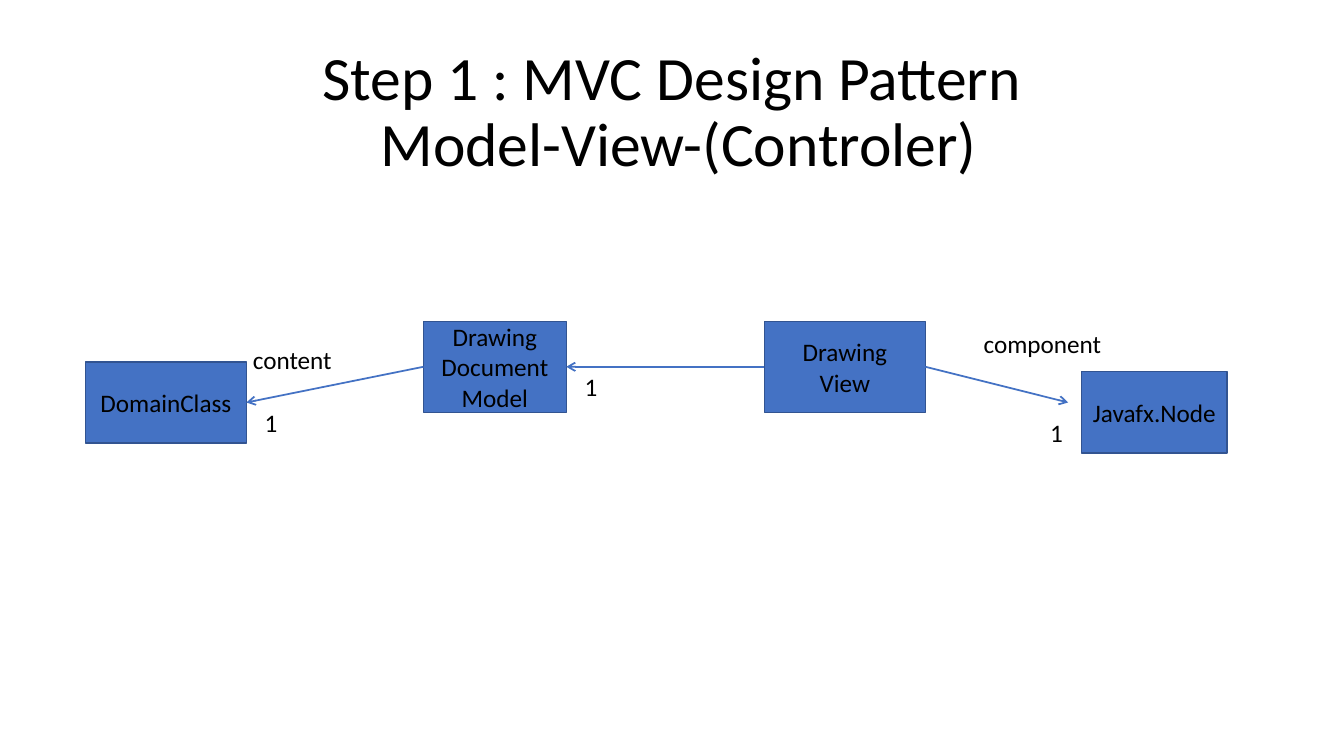
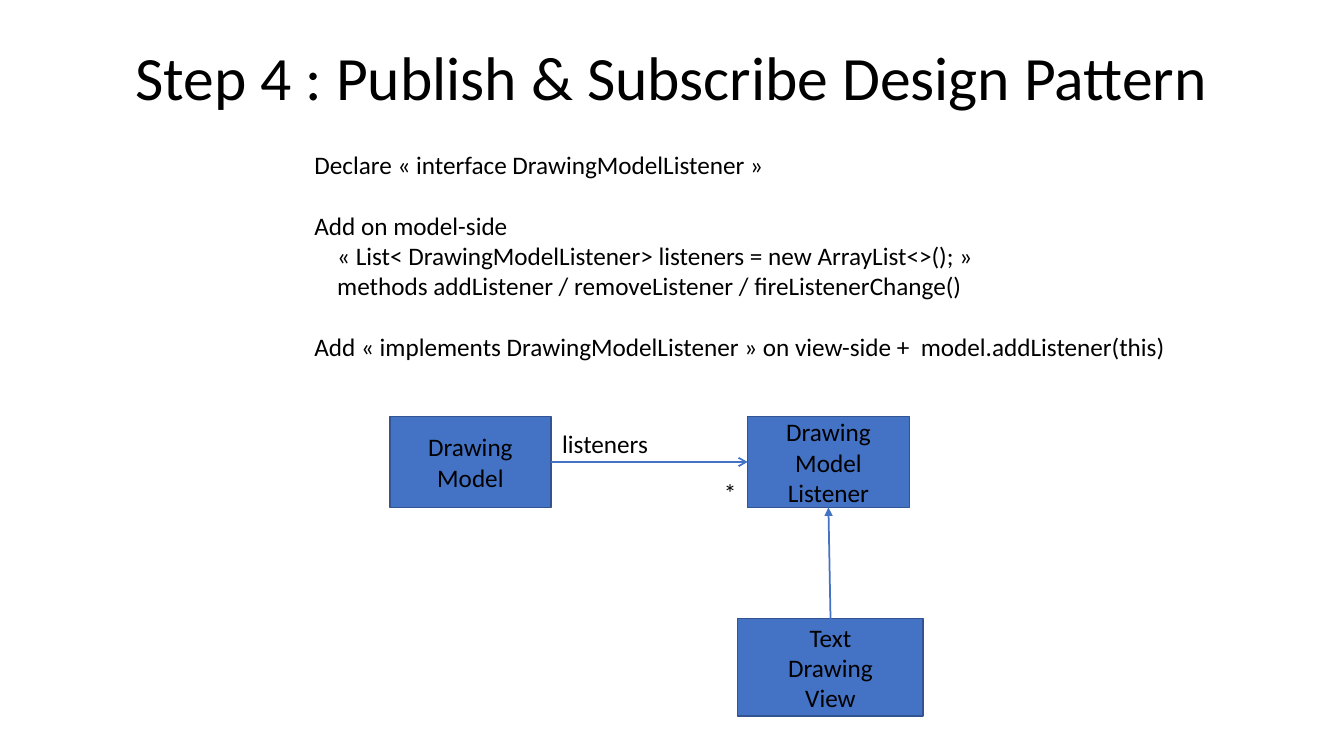
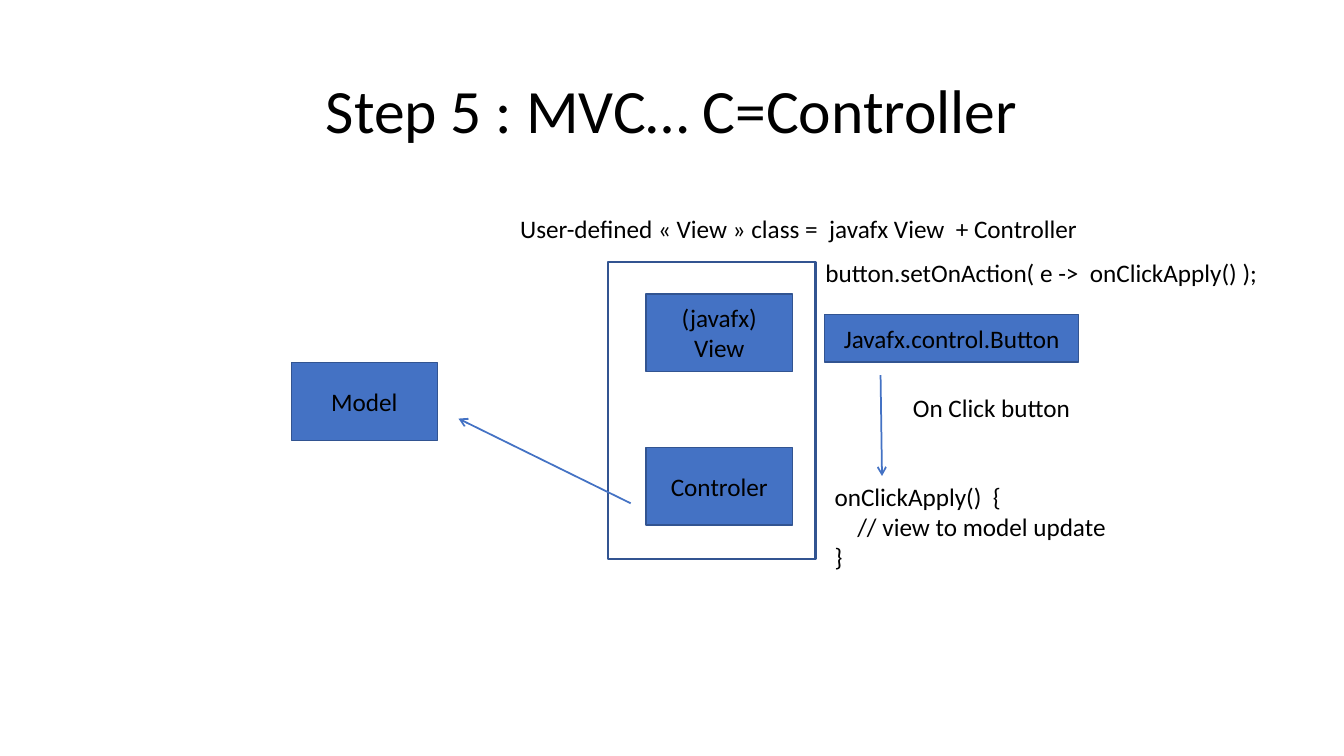
from pptx import Presentation
from pptx.dml.color import RGBColor
from pptx.enum.shapes import MSO_CONNECTOR, MSO_SHAPE
from pptx.enum.text import MSO_ANCHOR, MSO_AUTO_SIZE, PP_ALIGN
from pptx.oxml.ns import qn
from pptx.util import Pt
from lxml.etree import SubElement

FONT = "Calibri"
BLACK, BLUE, EDGE = "000000", "4472C4", "325491"
LINE = 22  # height of one text line at 18 points


def paint(target, color):
    """Give a fill, or the fill of a line, one solid colour."""
    target.solid()
    target.fore_color.rgb = RGBColor.from_string(color)


def write(frame, lines, size=18, align=PP_ALIGN.LEFT, anchor=MSO_ANCHOR.TOP,
          wrap=True, leading=None, gaps=(), dents=()):
    """Fill a frame, one paragraph a line; gaps and dents list line numbers."""
    frame.word_wrap = wrap
    frame.vertical_anchor = anchor
    for n, line in enumerate(lines):
        para = frame.paragraphs[0] if n == 0 else frame.add_paragraph()
        para.text = line
        para.alignment = align
        if leading:
            para.line_spacing = leading
        if n in gaps:
            para.space_before = Pt(LINE)
        if n in dents:
            props = para._p.get_or_add_pPr()
            props.set("marL", str(Pt(16.3)))
            props.set("indent", "0")
        for run in para.runs:
            run.font.name = FONT
            run.font.size = Pt(size)
            paint(run.font.fill, BLACK)


def label(slide, x, y, w, *lines, h=29, wrap=False, **style):
    box = slide.shapes.add_textbox(Pt(x), Pt(y), Pt(w), Pt(h))
    write(box.text_frame, lines, wrap=wrap, **style)
    box.text_frame.auto_size = MSO_AUTO_SIZE.SHAPE_TO_FIT_TEXT


def title(slide, text, y=29):
    box = slide.shapes.add_textbox(Pt(66), Pt(y), Pt(828), Pt(104.4))
    write(box.text_frame, [text], size=44, align=PP_ALIGN.CENTER,
          anchor=MSO_ANCHOR.MIDDLE, leading=0.9)


def block(slide, x, y, w, h, *lines, fill=BLUE, edge=1):
    box = slide.shapes.add_shape(MSO_SHAPE.RECTANGLE,
                                 Pt(x), Pt(y), Pt(w), Pt(h))
    box.shadow.inherit = False
    if fill:
        paint(box.fill, fill)
    else:
        box.fill.background()
    paint(box.line.fill, EDGE)
    box.line.width = Pt(edge)
    write(box.text_frame, lines, align=PP_ALIGN.CENTER,
          anchor=MSO_ANCHOR.MIDDLE)
    return box


def arrow(slide, tail, tip, head="arrow"):
    """Draw an arrow; each end is a point (x, y) or a pair (shape, side)."""
    link = slide.shapes.add_connector(MSO_CONNECTOR.STRAIGHT, 0, 0, 0, 0)
    if isinstance(tail[0], (int, float)):
        link.begin_x, link.begin_y = map(Pt, tail)
    else:
        link.begin_connect(*tail)
    if isinstance(tip[0], (int, float)):
        link.end_x, link.end_y = map(Pt, tip)
    else:
        link.end_connect(*tip)
    paint(link.line.fill, BLUE)
    link.line.width = Pt(1.25)
    SubElement(link.line._get_or_add_ln(), qn("a:tailEnd"), type=head)
    SubElement(link._element.spPr, qn("a:effectLst"))


def mvc(slide, x, y):
    """Chain of model and view classes."""
    doc = block(slide, x + 241.5, y, 102, 65, "Drawing", "Document", "Model")
    view = block(slide, x + 485, y, 115, 65, "Drawing\nView")
    domain = block(slide, x, y + 29, 115, 58, "DomainClass")
    block(slide, x + 711.5, y + 36, 104, 58, "Javafx.Node")
    arrow(slide, (view, 1), (doc, 3))
    arrow(slide, (doc, 1), (domain, 3))
    arrow(slide, (view, 3), (x + 702, y + 58))
    for dx, dy in (349.5, 32.5), (121, 58), (682, 65):
        label(slide, x + dx, y + dy, 23.5, "1")
    label(slide, x + 112.5, y + 13, 71, "content")
    label(slide, x + 634.5, y + 1.5, 99.5, "component")


def steps(slide, x, y):
    """Text that says what to declare and add."""
    label(slide, x, y, 633,
          "Declare « interface DrawingModelListener »",
          "Add on model-side",
          "« List< DrawingModelListener> listeners = new ArrayList<>(); »\n"
          "methods addListener / removeListener / fireListenerChange()",
          "Add « implements DrawingModelListener » on view-side +  "
          "model.addListener(this)",
          h=160, gaps=(1, 3), dents=(2,))


def publish(slide, x, y):
    """Model, its listener and the view that implements it."""
    model = block(slide, x, y, 115, 65, "Drawing\nModel")
    hearer = block(slide, x + 255.5, y, 115.5, 65,
                   "Drawing\nModel", "Listener")
    view = block(slide, x + 248.5, y + 144.5, 132.5, 69.5,
                 "Text\nDrawing\nView")
    arrow(slide, (view, 0), (hearer, 2), head="triangle")
    arrow(slide, (model, 3), (hearer, 1))
    label(slide, x + 231.5, y + 40, 24, "*")
    label(slide, x + 116, y + 5, 76.5, "listeners")


def control(slide, x, y):
    """Model, view with controller, and the click handler."""
    for dx, dy, name in ((253.5, 61, "(javafx) View"),
                         (253.5, 170.5, "Controler"), (0, 110, "Model")):
        block(slide, x + dx, y + dy, 104.5, 55.5, name)
    block(slide, x + 381, y + 75.5, 181.5, 34, "Javafx.control.Button")
    block(slide, x + 226, y + 38, 148.5, 212.5, fill=None, edge=1.5)
    arrow(slide, (x + 421, y + 119), (x + 422, y + 191))
    arrow(slide, (x + 242.5, y + 210.5), (x + 119.5, y + 150))
    label(slide, x + 156.5, y, 426,
          "User-defined « View » class =  javafx View  + Controller")
    label(slide, x + 374.5, y + 31.5, 327.5,
          "button.setOnAction( e ->  onClickApply() );")
    label(slide, x + 437, y + 127.5, 128, "On Click button")
    label(slide, x + 381, y + 191, 300, "onClickApply()  {",
          "    // view to model update", "}", h=73, wrap=True)


def main():
    deck = Presentation()
    deck.slide_width, deck.slide_height = Pt(960), Pt(540)
    first, second, third = (deck.slides.add_slide(deck.slide_layouts[6])
                            for _ in range(3))
    title(first, "Step 1 : MVC Design Pattern\n Model-View-(Controler)")
    mvc(first, 61, 229.5)
    title(second, "Step 4 : Publish & Subscribe Design Pattern", y=5.5)
    steps(second, 217.5, 103)
    publish(second, 278.5, 297.5)
    title(third, "Step 5 : MVC… C=Controller")
    control(third, 208, 149)
    deck.save("out.pptx")


if __name__ == "__main__":
    main()
